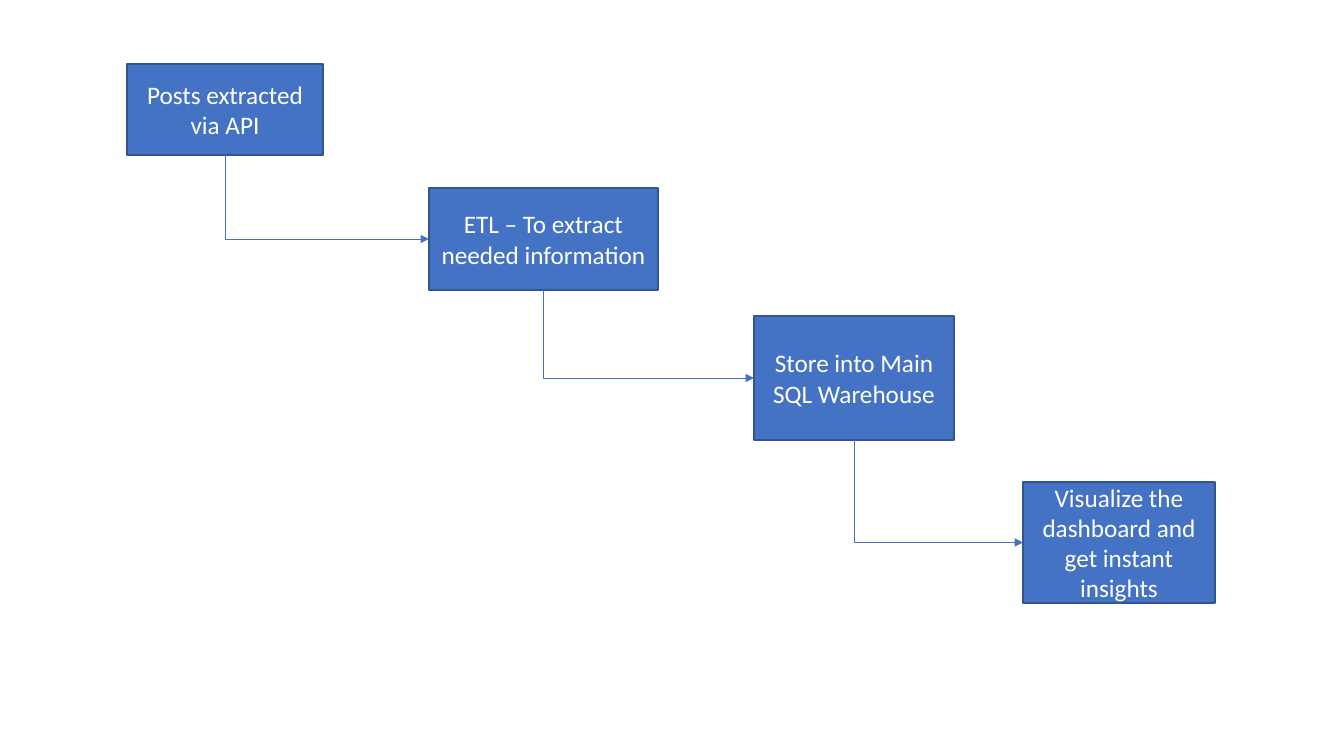
from lxml import etree
from pptx import Presentation
from pptx import util as u
from pptx.dml.color import RGBColor
from pptx.enum import shapes, text
from pptx.oxml.ns import qn

BLUE = RGBColor(0x44, 0x72, 0xC4)
DARK_BLUE = RGBColor(0x32, 0x54, 0x91)
WHITE = RGBColor(0xFF, 0xFF, 0xFF)

STAGES = [
    ("Posts extracted via API", 127, 64, 196, 91),
    ("ETL – To extract needed information", 429, 188, 229, 102),
    ("Store into Main SQL Warehouse", 754, 316, 200, 124),
    ("Visualize the dashboard and get instant insights", 1023, 482, 192, 121),
]


def px(length):
    return u.Emu(round(length * 914400 / 100.8))


class Flow:
    FONT = "Calibri"
    SIZE = u.Pt(18)
    BOTTOM_SITE = 2
    LEFT_SITE = 1

    def __init__(self, slide):
        self.slide = slide

    def stage(self, label, left, top, width, height):
        box = self.slide.shapes.add_shape(
            shapes.MSO_SHAPE.RECTANGLE, px(left), px(top), px(width), px(height))
        box.shadow.inherit = False
        box.fill.solid()
        box.fill.fore_color.rgb = BLUE
        box.line.color.rgb = DARK_BLUE
        box.line.width = u.Pt(1)
        frame = box.text_frame
        frame.word_wrap = True
        frame.vertical_anchor = text.MSO_ANCHOR.MIDDLE
        frame.text = label
        paragraph = frame.paragraphs[0]
        paragraph.alignment = text.PP_ALIGN.CENTER
        paragraph.font.name = self.FONT
        paragraph.font.size = self.SIZE
        paragraph.font.color.rgb = WHITE
        return box

    def step(self, source, target):
        arrow = self.slide.shapes.add_connector(shapes.MSO_CONNECTOR.ELBOW, 0, 0, 0, 0)
        arrow.begin_connect(source, self.BOTTOM_SITE)
        arrow.end_connect(target, self.LEFT_SITE)
        across, down = arrow.width, arrow.height
        shift = (across - down) // 2
        arrow.left, arrow.top = arrow.left + shift, arrow.top - shift
        arrow.width, arrow.height = down, across
        properties = arrow._element.spPr
        frame = properties.find(qn("a:xfrm"))
        frame.set("rot", "16200000")
        frame.set("flipH", "1")
        properties.find(qn("a:prstGeom")).set("prst", "bentConnector2")
        arrow.line.color.rgb = BLUE
        arrow.line.width = u.Pt(0.5)
        outline = properties.find(qn("a:ln"))
        etree.SubElement(outline, qn("a:tailEnd")).set("type", "triangle")
        etree.SubElement(properties, qn("a:effectLst"))


def main():
    deck = Presentation()
    deck.slide_width, deck.slide_height = px(1344), px(756)
    flow = Flow(deck.slides.add_slide(deck.slide_layouts[6]))
    stages = [flow.stage(*stage) for stage in STAGES]
    for source, target in zip(stages, stages[1:]):
        flow.step(source, target)
    deck.save("out.pptx")


if __name__ == "__main__":
    main()
